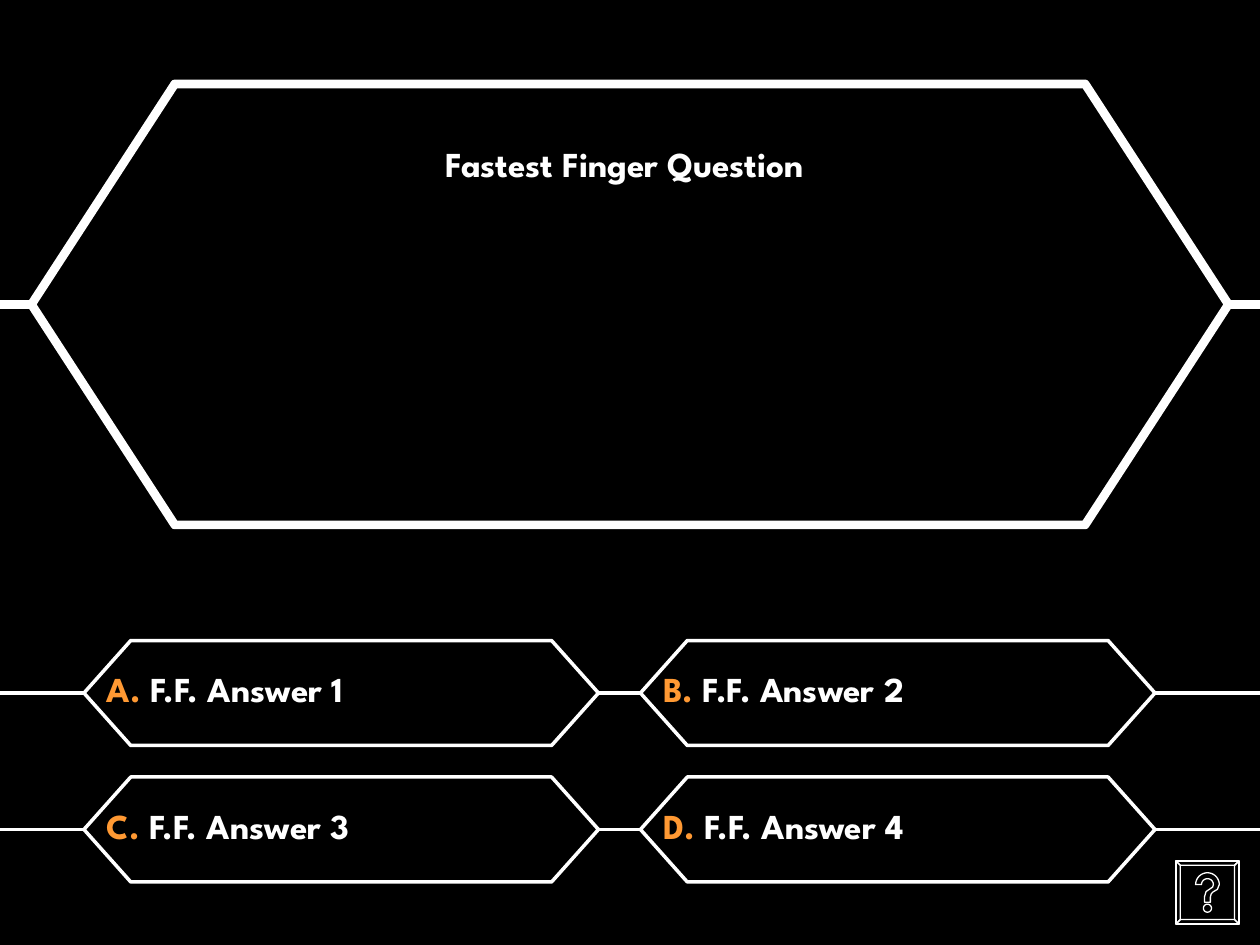
from math import cos, radians, sin

from lxml.etree import SubElement
from pptx import Presentation
from pptx.dml.color import RGBColor
from pptx.enum.shapes import MSO_CONNECTOR, MSO_SHAPE
from pptx.enum.text import MSO_ANCHOR, MSO_AUTO_SIZE, PP_ALIGN
from pptx.oxml.ns import qn
from pptx.util import Pt

BLACK = RGBColor(0x00, 0x00, 0x00)
WHITE = RGBColor(0xFF, 0xFF, 0xFF)
ORANGE = RGBColor(0xFF, 0x99, 0x33)


def arc(cx, cy, radius, start, end, steps=24):
    angles = [radians(start + (end - start) * i / steps) for i in range(steps + 1)]
    return [(cx + radius * cos(a), cy + radius * sin(a)) for a in angles]


def square(x, y, size):
    return [(x, y), (x + size, y), (x + size, y + size), (x, y + size)]


class Board:
    font = "League Spartan"
    size = Pt(20)

    def __init__(self, slide):
        self.slide = slide
        self.shapes = slide.shapes
        fill = slide.background.fill
        fill.solid()
        fill.fore_color.rgb = BLACK

    def outline(self, sp, weight):
        sp.shadow.inherit = False
        sp.fill.solid()
        sp.fill.fore_color.rgb = BLACK
        sp.line.color.rgb = WHITE
        sp.line.width = Pt(weight)

    def format_run(self, r, color):
        r.font.name = self.font
        r.font.size = self.size
        r.font.bold = True
        r.font.color.rgb = color

    def hexagon(self, x, y, w, h, adj, weight):
        sp = self.shapes.add_shape(MSO_SHAPE.HEXAGON, Pt(x), Pt(y), Pt(w), Pt(h))
        sp.adjustments[0] = adj
        self.outline(sp, weight)

    def rule(self, x1, x2, y, weight):
        line = self.shapes.add_connector(MSO_CONNECTOR.STRAIGHT, Pt(x1), Pt(y), Pt(x2), Pt(y))
        line.line.color.rgb = WHITE
        line.line.width = Pt(weight)
        SubElement(line._element.spPr, qn("a:effectLst"))

    def title(self, text, x, y, w, h):
        sp = self.shapes.title
        self.shapes._spTree.append(sp._element)
        sp.left, sp.top, sp.width, sp.height = Pt(x), Pt(y), Pt(w), Pt(h)
        tf = sp.text_frame
        tf.text = text
        tf.word_wrap = True
        tf.auto_size = MSO_AUTO_SIZE.NONE
        tf.vertical_anchor = MSO_ANCHOR.TOP
        p = tf.paragraphs[0]
        p.alignment = PP_ALIGN.CENTER
        self.format_run(p.runs[0], WHITE)

    def answer(self, letter, text, x, y, w, h):
        tf = self.shapes.add_textbox(Pt(x), Pt(y), Pt(w), Pt(h)).text_frame
        tf.word_wrap = False
        tf.auto_size = MSO_AUTO_SIZE.SHAPE_TO_FIT_TEXT
        p = tf.paragraphs[0]
        for part, color in ((f"{letter}.", ORANGE), (f" {text}", WHITE)):
            r = p.add_run()
            r.text = part
            self.format_run(r, color)

    def freeform(self, contours, weight):
        contours = [[(Pt(x), Pt(y)) for x, y in points] for points in contours]
        builder = self.shapes.build_freeform(*contours[0][0], scale=1.0)
        for i, points in enumerate(contours):
            if i:
                builder.move_to(*points[0])
            builder.add_line_segments(points[1:], close=True)
        self.outline(builder.convert_to_shape(), weight)

    def help_button(self, x, y, size, bevel):
        outer = square(x, y, size)
        inner = square(x + bevel, y + bevel, size - 2 * bevel)
        sides = [[outer[i - 1], outer[i], inner[i], inner[i - 1]] for i in range(4)]
        cx, cy = x + size / 2, y + size / 2
        hook = [
            (cx + 1.7, cy + 5.6), (cx + 1.7, cy + 2.5),
            (cx + 2.2, cy + 0.7), (cx + 3.4, cy - 0.4),
            (cx + 5.7, cy - 1.8),
            *arc(cx, cy - 4.5, 6.75, 0, -180),
            *arc(cx, cy - 4.5, 3.38, -180, 0),
            (cx + 3, cy - 3.1), (cx + 1.7, cy - 2.2),
            (cx - 0.8, cy - 0.5), (cx - 1.7, cy + 2.5), (cx - 1.7, cy + 5.6),
        ]
        self.freeform([outer, *sides, arc(cx, cy + 9, 2.3, 0, 360), hook], 0.75)


def main():
    prs = Presentation()
    prs.slide_width, prs.slide_height = Pt(720), Pt(540)
    board = Board(prs.slides.add_slide(prs.slide_layouts[5]))

    board.hexagon(18, 48, 684, 252, 0.325, 5)
    for x1, x2 in ((0, 18), (702, 720)):
        board.rule(x1, x2, 174, 5)
    board.title("Fastest Finger Question", 120, 78, 474, 186)

    columns, rows = (48, 366), (366, 444)
    width, height = 294, 60
    for i, letter in enumerate("ABCD"):
        x, y = columns[i % 2], rows[i // 2]
        board.hexagon(x, y, width, height, 0.446, 2)
        board.answer(letter, f"F.F. Answer {i + 1}", x + 6, y + 12, 169, 31.5)
    for y in rows:
        for x1, x2 in ((0, 48), (342, 366), (660, 720)):
            board.rule(x1, x2, y + height / 2, 2)

    board.help_button(672, 492, 36, 2.5)
    prs.save("out.pptx")


if __name__ == "__main__":
    main()
